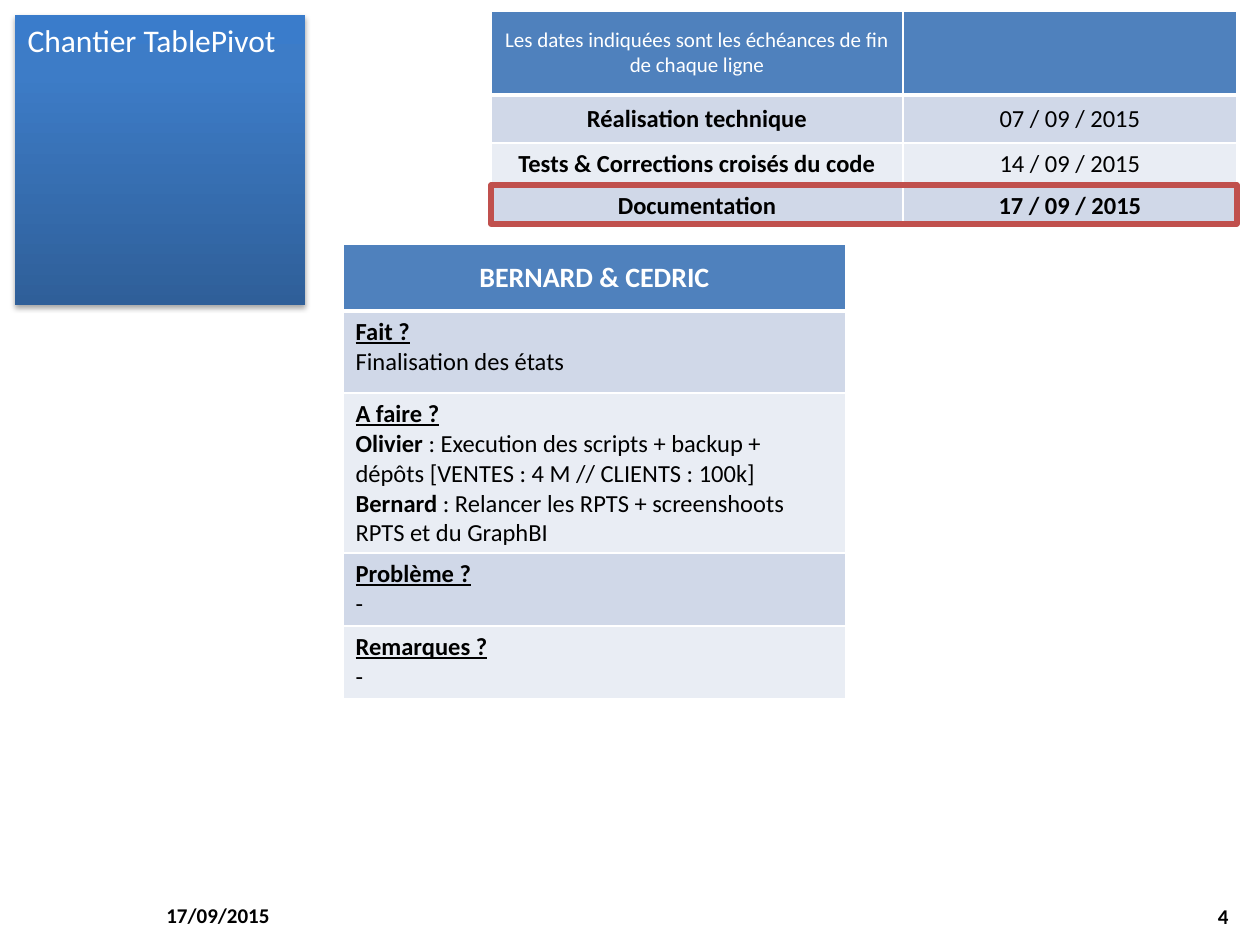
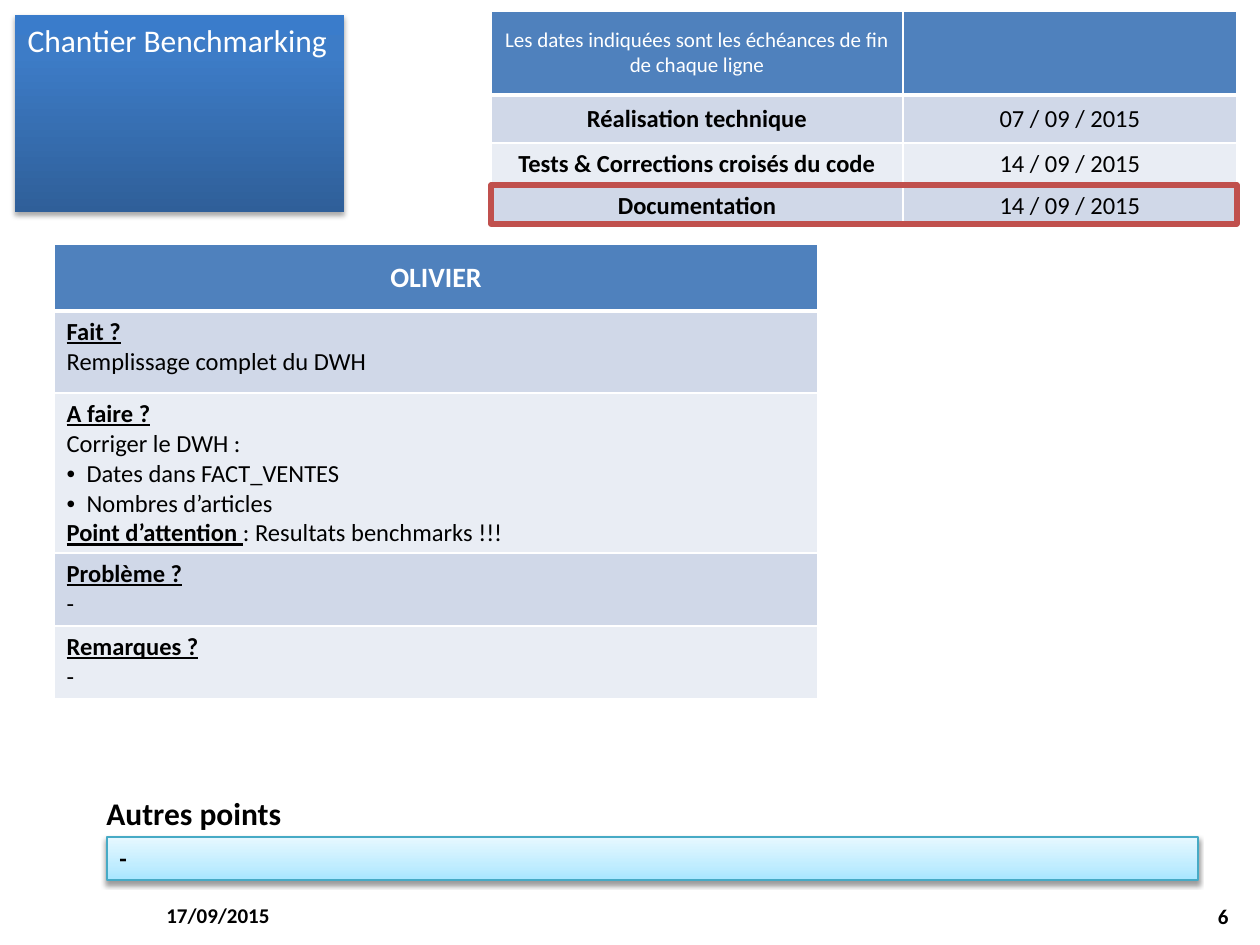
from dataclasses import dataclass
from typing import Optional, Sequence, Union

from lxml import etree
from pptx import Presentation
from pptx.dml.color import RGBColor
from pptx.enum.shapes import MSO_SHAPE as Preset
from pptx.enum.text import MSO_ANCHOR as Anchor
from pptx.enum.text import MSO_AUTO_SIZE as AutoSize
from pptx.enum.text import PP_ALIGN as Align
from pptx.oxml.ns import qn
from pptx.util import Emu, Pt

# Shared look
FONT = "Calibri"
BLACK = RGBColor(0x00, 0x00, 0x00)
WHITE = RGBColor(0xFF, 0xFF, 0xFF)
HEADER_BLUE = RGBColor(0x4F, 0x81, 0xBD)
BANDS = (RGBColor(0xD0, 0xD8, 0xE8), RGBColor(0xE9, 0xED, 0xF4))
HIGHLIGHT_RED = RGBColor(0xC0, 0x50, 0x4D)
NOTE_LINE = RGBColor(0x46, 0xAA, 0xC5)
TITLE_GRADIENT = (
    (0, RGBColor(0x2F, 0x5F, 0x99)),
    (80, RGBColor(0x3D, 0x7C, 0xC7)),
    (100, RGBColor(0x3A, 0x7C, 0xCB)),
)
NOTE_GRADIENT = (
    (0, RGBColor(0xA7, 0xE6, 0xFF)),
    (35, RGBColor(0xC1, 0xED, 0xFF)),
    (100, RGBColor(0xE7, 0xF8, 0xFF)),
)

# Shared sizes, in px
PX_PER_INCH = 126
SLIDE_SIZE = (1260, 945)
DATE_COLUMNS = (412, 334)
DATE_ROWS = (84, 48, 42, 42)
STATUS_ROWS = (67, 82, 160, 73, 73)
BULLET_INDENT = 20


@dataclass(frozen=True)
class Area:
    left: int
    top: int
    width: int
    height: int


@dataclass(frozen=True)
class Span:
    text: str
    bold: bool = False
    underline: bool = False


@dataclass(frozen=True)
class Line:
    spans: tuple[Span, ...]
    bullet: bool = False


@dataclass(frozen=True)
class Workstream:
    title: str
    title_width: int
    documentation_date: Span
    owner: str
    table_left: int
    table_width: int
    done: str
    to_do: tuple[Line, ...]
    page_number: str
    other_points: Optional[str] = None


Text = Union[str, Sequence[Line]]


def px(length: int) -> Emu:
    return Emu(round(length * 914400 / PX_PER_INCH))


def place(area: Area) -> tuple[Emu, Emu, Emu, Emu]:
    return px(area.left), px(area.top), px(area.width), px(area.height)


def plain(text: str) -> Line:
    return Line((Span(text),))


def question(heading: str, *answers: Line) -> tuple[Line, ...]:
    return (Line((Span(heading, bold=True, underline=True),)), *answers)


# Text
def write(frame, text: Text, *, size: int = 14, color: RGBColor = BLACK,
          bold: bool = False, align: Align = Align.LEFT) -> None:
    lines = [Line((Span(text, bold),))] if isinstance(text, str) else text
    for index, line in enumerate(lines):
        para = frame.paragraphs[0] if index == 0 else frame.add_paragraph()
        para.alignment = align
        if line.bullet:
            properties = para._p.get_or_add_pPr()
            properties.set("marL", str(px(BULLET_INDENT)))
            properties.set("indent", str(-px(BULLET_INDENT)))
            etree.SubElement(properties, qn("a:buFont")).set("typeface", "Arial")
            etree.SubElement(properties, qn("a:buChar")).set("char", "•")
        for span in line.spans:
            run = para.add_run()
            run.text = span.text
            run.font.name = FONT
            run.font.size = Pt(size)
            run.font.bold = span.bold
            run.font.underline = span.underline
            run.font.color.rgb = color


def add_label(page, area: Area, text: str, *, wrap: bool = True,
              size: int = 12, align: Align = Align.LEFT) -> None:
    box = page.shapes.add_textbox(*place(area))
    box.text_frame.word_wrap = wrap
    box.text_frame.vertical_anchor = Anchor.MIDDLE
    write(box.text_frame, text, size=size, bold=True, align=align)


# Shape effects
def fill_upward(shape, stops: Sequence[tuple[int, RGBColor]]) -> None:
    shape.fill.gradient()
    shape.fill.gradient_angle = 90
    stop_list = shape._element.spPr.find(qn("a:gradFill")).find(qn("a:gsLst"))
    for stop in list(stop_list):
        stop_list.remove(stop)
    for position, color in stops:
        stop = etree.SubElement(stop_list, qn("a:gs"), pos=str(position * 1000))
        etree.SubElement(stop, qn("a:srgbClr"), val=str(color))


def drop_shadow(shape, opacity: int) -> None:
    shape.shadow.inherit = False
    effects = shape._element.spPr.find(qn("a:effectLst"))
    shadow = etree.SubElement(
        effects, qn("a:outerShdw"), blurRad=str(Pt(3.1)), dist=str(Pt(1.8)),
        dir="5400000", rotWithShape="0")
    color = etree.SubElement(shadow, qn("a:srgbClr"), val=str(BLACK))
    etree.SubElement(color, qn("a:alpha"), val=str(opacity * 1000))


# Tables
def set_borders(cell, top: int, bottom: int) -> None:
    properties = cell._tc.get_or_add_tcPr()
    widths = {"lnL": 1, "lnR": 1, "lnT": top, "lnB": bottom}
    for index, (side, width) in enumerate(widths.items()):
        border = etree.Element(qn(f"a:{side}"), w=str(Pt(width)))
        fill = etree.SubElement(border, qn("a:solidFill"))
        etree.SubElement(fill, qn("a:srgbClr"), val=str(WHITE))
        properties.insert(index, border)


def add_banded_table(page, left: int, top: int, columns: Sequence[int],
                     heights: Sequence[int], rows: Sequence[Sequence[Text]], *,
                     header_size: int, header_bold: bool,
                     body_align: Align, body_anchor: Anchor) -> None:
    area = Area(left, top, sum(columns), sum(heights))
    table = page.shapes.add_table(len(rows), len(columns), *place(area)).table
    for column, width in zip(table.columns, columns):
        column.width = px(width)
    for row_index, (row, height) in enumerate(zip(rows, heights)):
        table.rows[row_index].height = px(height)
        header = row_index == 0
        for column_index, text in enumerate(row):
            cell = table.cell(row_index, column_index)
            cell.fill.solid()
            cell.fill.fore_color.rgb = (
                HEADER_BLUE if header else BANDS[(row_index - 1) % 2])
            set_borders(cell, top=3 if row_index == 1 else 1,
                        bottom=3 if header else 1)
            cell.vertical_anchor = Anchor.MIDDLE if header else body_anchor
            if header and text:
                write(cell.text_frame, text, size=header_size, color=WHITE,
                      bold=header_bold, align=Align.CENTER)
            elif text:
                write(cell.text_frame, text, align=body_align)


# Slide parts
def add_title(page, title: str, width: int) -> None:
    shape = page.shapes.title
    shape.left, shape.top, shape.width, shape.height = place(
        Area(15, 15, width, 51))
    fill_upward(shape, TITLE_GRADIENT)
    drop_shadow(shape, opacity=35)
    frame = shape.text_frame
    frame.word_wrap = False
    frame.auto_size = AutoSize.SHAPE_TO_FIT_TEXT
    frame.vertical_anchor = Anchor.TOP
    write(frame, title, size=18, color=WHITE)


def add_deadlines(page, documentation_date: Span) -> None:
    deadlines = (
        ("Réalisation technique", Span("07 / 09 / 2015")),
        ("Tests & Corrections croisés du code", Span("14 / 09 / 2015")),
        ("Documentation", documentation_date),
    )
    rows = [("Les dates indiquées sont les échéances de fin de chaque ligne", "")]
    rows += [((Line((Span(step, bold=True),)),), (Line((date,)),))
             for step, date in deadlines]
    add_banded_table(page, 491, 11, DATE_COLUMNS, DATE_ROWS, rows,
                     header_size=12, header_bold=False,
                     body_align=Align.CENTER, body_anchor=Anchor.MIDDLE)
    frame = page.shapes.add_shape(
        Preset.RECTANGLE, *place(Area(491, 185, sum(DATE_COLUMNS), 39)))
    frame.shadow.inherit = False
    frame.fill.background()
    frame.line.color.rgb = HIGHLIGHT_RED
    frame.line.width = Pt(3)


def add_status(page, stream: Workstream) -> None:
    rows = (
        (stream.owner,),
        (question("Fait ?", plain(stream.done)),),
        (question("A faire ?", *stream.to_do),),
        (question("Problème ?", plain("-")),),
        (question("Remarques ?", plain("-")),),
    )
    add_banded_table(page, stream.table_left, 244, (stream.table_width,),
                     STATUS_ROWS, rows, header_size=16, header_bold=True,
                     body_align=Align.LEFT, body_anchor=Anchor.TOP)


def add_other_points(page, text: str) -> None:
    add_label(page, Area(94, 787, 202, 51), "Autres points", wrap=False, size=18)
    note = page.shapes.add_shape(Preset.RECTANGLE,
                                 *place(Area(107, 837, 1091, 43)))
    fill_upward(note, NOTE_GRADIENT)
    note.line.color.rgb = NOTE_LINE
    note.line.width = Pt(0.75)
    drop_shadow(note, opacity=38)
    note.text_frame.word_wrap = True
    note.text_frame.vertical_anchor = Anchor.TOP
    write(note.text_frame, text, bold=True)


def add_footer(page, page_number: str) -> None:
    add_label(page, Area(154, 890, 294, 50), "17/09/2015")
    add_label(page, Area(947, 891, 294, 50), page_number, align=Align.RIGHT)


WORKSTREAMS = (
    Workstream(
        title="Chantier TablePivot", title_width=290,
        documentation_date=Span("17 / 09 / 2015", bold=True),
        owner="BERNARD & CEDRIC", table_left=343, table_width=503,
        done="Finalisation des états",
        to_do=(
            Line((Span("Olivier", bold=True),
                  Span(" : Execution des scripts + backup + "
                       "dépôts [VENTES : 4 M // CLIENTS : 100k]"))),
            Line((Span("Bernard", bold=True),
                  Span(" : Relancer les RPTS + screenshoots "
                       "RPTS et du GraphBI"))),
        ),
        page_number="4",
    ),
    Workstream(
        title="Chantier Benchmarking", title_width=329,
        documentation_date=Span("14 / 09 / 2015"),
        owner="OLIVIER", table_left=54, table_width=764,
        done="Remplissage complet du DWH",
        to_do=(
            plain("Corriger le DWH :"),
            Line((Span("Dates dans FACT_VENTES"),), bullet=True),
            Line((Span("Nombres d’articles"),), bullet=True),
            Line((Span("Point d’attention ", bold=True, underline=True),
                  Span(": Resultats benchmarks !!!"))),
        ),
        page_number="6", other_points="-",
    ),
)


def main() -> None:
    deck = Presentation()
    deck.slide_width, deck.slide_height = map(px, SLIDE_SIZE)
    title_only = deck.slide_layouts.get_by_name("Title Only")
    for stream in WORKSTREAMS:
        page = deck.slides.add_slide(title_only)
        add_title(page, stream.title, stream.title_width)
        add_deadlines(page, stream.documentation_date)
        add_status(page, stream)
        if stream.other_points:
            add_other_points(page, stream.other_points)
        add_footer(page, stream.page_number)
    deck.save("out.pptx")


if __name__ == "__main__":
    main()
